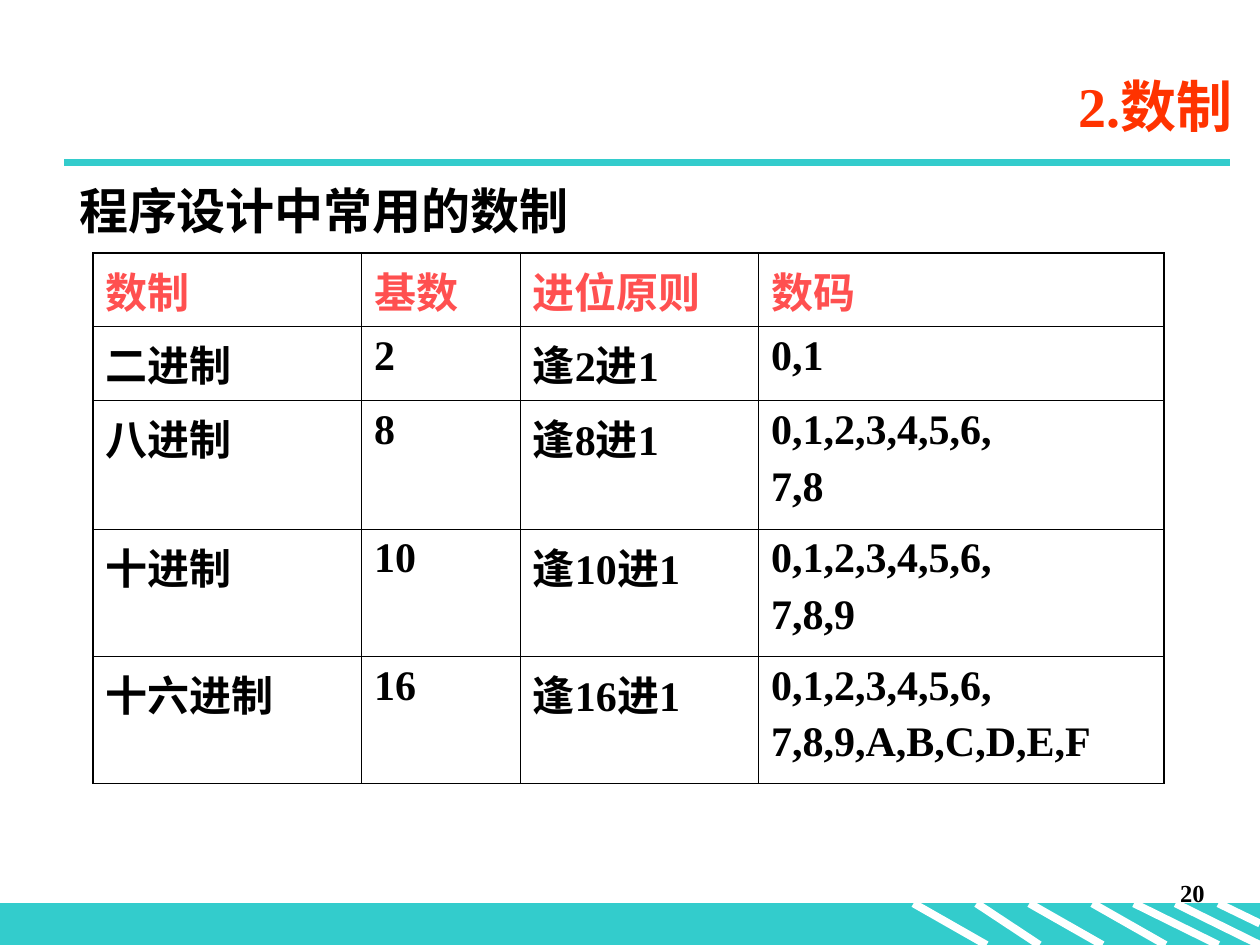
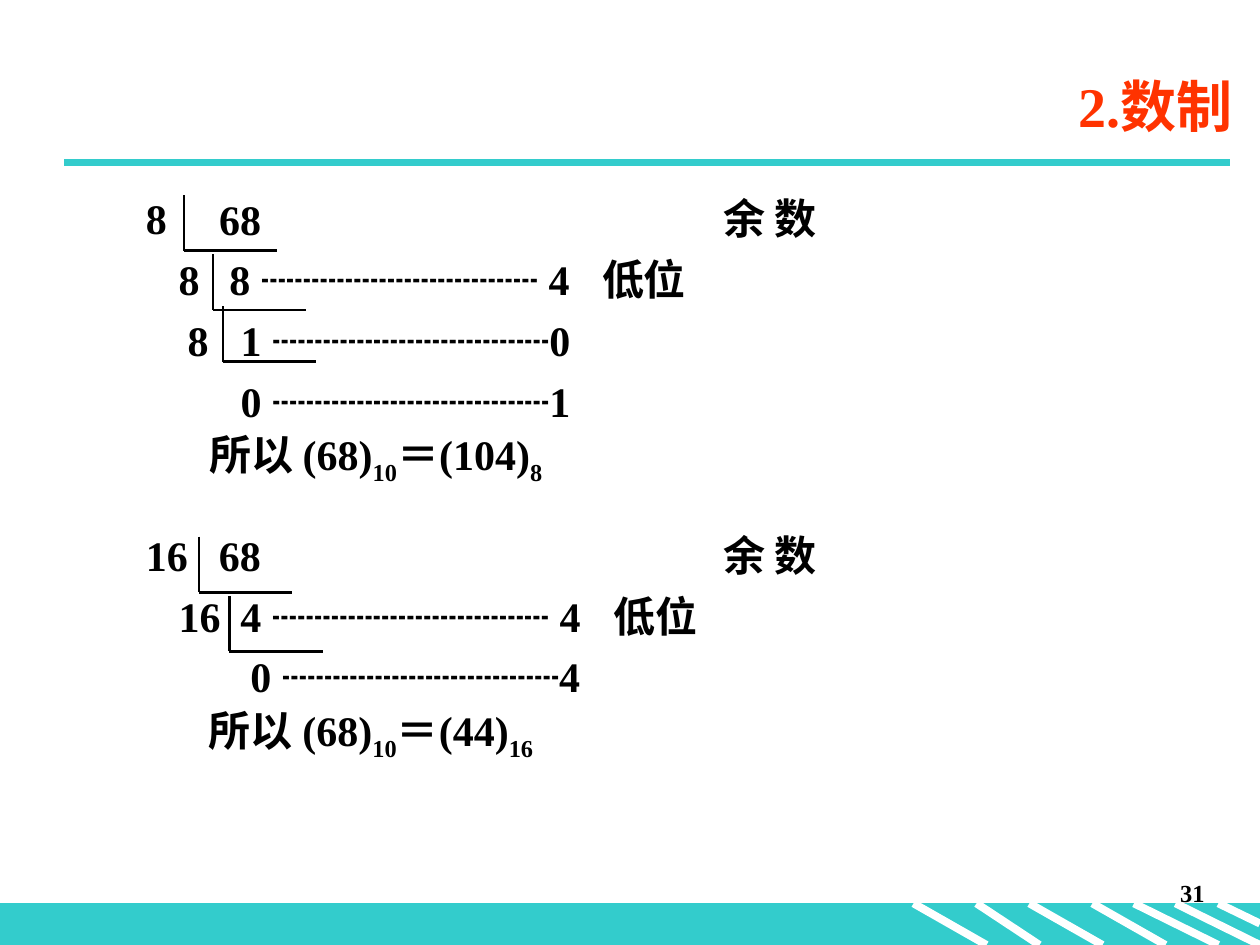
from lxml import etree
from pptx import Presentation
from pptx.dml.color import RGBColor
from pptx.enum.shapes import MSO_CONNECTOR, MSO_SHAPE
from pptx.enum.text import MSO_ANCHOR, MSO_AUTO_SIZE, PP_ALIGN
from pptx.oxml.ns import qn
from pptx.util import Inches, Pt

STRAIGHT = MSO_CONNECTOR.STRAIGHT
RECTANGLE = MSO_SHAPE.RECTANGLE
MIDDLE = MSO_ANCHOR.MIDDLE
NO_AUTOFIT = MSO_AUTO_SIZE.NONE
LEFT, RIGHT = PP_ALIGN.LEFT, PP_ALIGN.RIGHT

TEAL = RGBColor(0x33, 0xCC, 0xCC)
WHITE = RGBColor(0xFF, 0xFF, 0xFF)
BLACK = RGBColor(0, 0, 0)
TITLE_RED = RGBColor(0xFF, 0x33, 0x00)
HEADER_RED = RGBColor(0xFF, 0x50, 0x50)
SERIF, SANS = "Times New Roman", "Arial"


def add_line(slide, start, end, color, width):
    line = slide.shapes.add_connector(STRAIGHT, *map(Inches, start + end))
    line.line.color.rgb = color
    line.line.width = Pt(width)
    etree.SubElement(line._element.spPr, qn("a:effectLst"))


def write(frame, lines, size, color=BLACK, name=SERIF, alignment=LEFT, space=0, spacing=1.0):
    font_format = {"size": Pt(size), "bold": True, "name": name}
    for index, (text, indent) in enumerate(lines):
        paragraph = frame.paragraphs[0] if index == 0 else frame.add_paragraph()
        if indent:
            properties = paragraph._p.get_or_add_pPr()
            properties.set("marL", str(Inches(indent)))
            properties.set("indent", "0")
            etree.SubElement(properties, qn("a:buNone"))
        paragraph.alignment = alignment
        paragraph.line_spacing = spacing
        paragraph.space_before = Pt(space if index else 0)
        for part_index, part in enumerate(text.split("_")):
            if not part:
                continue
            run = paragraph.add_run()
            run.text = part
            for attribute, value in font_format.items():
                setattr(run.font, attribute, value)
            run.font.color.rgb = color
            if part_index % 2:
                run._r.get_or_add_rPr().set("baseline", "-25000")


presentation = Presentation()
presentation.slide_width = Inches(10)
presentation.slide_height = Inches(7.5)

STRIPES = [(7.25, 7.83, 7.5), (7.75, 8.25, 7.5), (8.17, 8.75, 7.5), (8.67, 9.25, 7.5),
           (9, 9.67, 7.5), (9.33, 10, 7.5), (9.67, 10, 7.33)]
slides = []
for layout_index, page_number in ((5, "20"), (1, "31")):
    slide = presentation.slides.add_slide(presentation.slide_layouts[layout_index])
    slides.append(slide)

    band = slide.shapes.add_shape(RECTANGLE, 0, Inches(7.17), Inches(10), Inches(0.33))
    band.shadow.inherit = False
    band.fill.solid()
    band.fill.fore_color.rgb = TEAL
    band.line.color.rgb = TEAL
    band.line.width = Pt(0.75)
    for start_x, end_x, end_y in STRIPES:
        add_line(slide, (start_x, 7.17), (end_x, end_y), WHITE, 4.5)
    add_line(slide, (0.51, 1.29), (9.76, 1.29), TEAL, 4.5)

    number_box = slide.shapes.add_textbox(Inches(7.58), Inches(6.92), Inches(2.08), Inches(0.5))
    number_box.text_frame.word_wrap = True
    write(number_box.text_frame, [(page_number, 0)], 14, alignment=RIGHT)

    title = slide.shapes.title
    title.left, title.top, title.width, title.height = map(Inches, (1.38, 0.44, 8.5, 0.79))
    title.text_frame.vertical_anchor = MIDDLE
    title.text_frame.auto_size = NO_AUTOFIT
    write(title.text_frame, [("2.数制", 0)], 32, TITLE_RED, alignment=RIGHT)

table_slide, division_slide = slides

heading = table_slide.shapes.add_textbox(Inches(0.53), Inches(1.38), Inches(4.08), Inches(0.57))
write(heading.text_frame, [("程序设计中常用的数制", 0)], 28, name=SANS)

ROWS = [
    ("数制", "基数", "进位原则", "数码"),
    ("二进制", "2", "逢2进1", "0,1"),
    ("八进制", "8", "逢8进1", "0,1,2,3,4,5,6,\n7,8"),
    ("十进制", "10", "逢10进1", "0,1,2,3,4,5,6,\n7,8,9"),
    ("十六进制", "16", "逢16进1", "0,1,2,3,4,5,6,\n7,8,9,A,B,C,D,E,F"),
]
COLUMN_WIDTHS = (2.13, 1.26, 1.89, 3.22)
ROW_HEIGHTS = (0.58, 0.59, 1.02, 1.01, 1.01)
OUTER, INNER = 1.08, 0.45

table = table_slide.shapes.add_table(
    len(ROWS), len(COLUMN_WIDTHS), Inches(0.74), Inches(2.01),
    Inches(sum(COLUMN_WIDTHS)), Inches(sum(ROW_HEIGHTS))).table
table.first_row = False
table.horz_banding = False
for column, width in zip(table.columns, COLUMN_WIDTHS):
    column.width = Inches(width)
for row_index, (texts, height) in enumerate(zip(ROWS, ROW_HEIGHTS)):
    table.rows[row_index].height = Inches(height)
    for column_index, text in enumerate(texts):
        cell = table.cell(row_index, column_index)
        cell.margin_left = cell.margin_right = Inches(0.1)
        cell.margin_top = cell.margin_bottom = Inches(0.05)
        color = BLACK if row_index else HEADER_RED
        write(cell.text_frame, [(line, 0) for line in text.split("\n")], 24, color, space=6)
        on_edge = {
            "a:lnL": column_index == 0,
            "a:lnR": column_index == len(COLUMN_WIDTHS) - 1,
            "a:lnT": row_index == 0,
            "a:lnB": row_index == len(ROWS) - 1,
        }
        cell_properties = cell._tc.get_or_add_tcPr()
        for side, is_outer in on_edge.items():
            border_width = Pt(OUTER if is_outer else INNER)
            border = etree.SubElement(cell_properties, qn(side), w=str(border_width))
            border_fill = etree.SubElement(border, qn("a:solidFill"))
            etree.SubElement(border_fill, qn("a:srgbClr"), val=str(BLACK))
        cell.fill.background()

DASHES = "┄" * 11
OCTAL_STEPS = [
    ("68", 0.58),
    (f"8 {DASHES} 4", 0.66),
    (f"1 {DASHES}0", 0.75),
    (f"0 {DASHES}1", 0.75),
    ("所以 (68)_10_＝(104)_8", 0.5),
]
HEX_STEPS = [
    ("68", 0.58),
    (f"4 {DASHES} 4", 0.75),
    (f"0 {DASHES}4", 0.83),
    ("所以 (68)_10_＝(44)_16", 0.5),
]
OCTAL_LABELS = [("8", 1.06, 0), ("8", 1.32, 1), ("8", 1.39, 2), ("余 数", 5.64, 0), ("低位", 4.68, 1)]
HEX_LABELS = [("16", 1.06, 0), ("16", 1.32, 1), ("余 数", 5.64, 0), ("低位", 4.77, 1)]
STEP_PITCH = Pt(34.7)

octal_box = division_slide.placeholders[1]
hex_box = division_slide.shapes.add_textbox(0, 0, 0, 0)
for box, top, steps, labels in ((octal_box, 1.4, OCTAL_STEPS, OCTAL_LABELS),
                                (hex_box, 4.07, HEX_STEPS, HEX_LABELS)):
    box.left, box.top, box.width, box.height = map(Inches, (1.06, top, 8.94, 2.52))
    box.text_frame.word_wrap = True
    box.text_frame.auto_size = NO_AUTOFIT
    write(box.text_frame, steps, 24, spacing=STEP_PITCH)
    for text, left, step in labels:
        label = division_slide.shapes.add_textbox(
            Inches(left), Inches(top) + step * STEP_PITCH, Inches(1.2), Inches(0.58))
        write(label.text_frame, [(text, 0)], 24, spacing=STEP_PITCH)

BRACKET_WIDTH, BRACKET_HEIGHT = 0.74, 0.44
for left, top in ((1.46, 1.55), (1.69, 2.02), (1.77, 2.43), (1.58, 4.26), (1.82, 4.73)):
    corner = (left, top + BRACKET_HEIGHT)
    add_line(division_slide, (left, top), corner, BLACK, 1.5)
    add_line(division_slide, corner, (left + BRACKET_WIDTH, corner[1]), BLACK, 1.5)

presentation.save("out.pptx")
